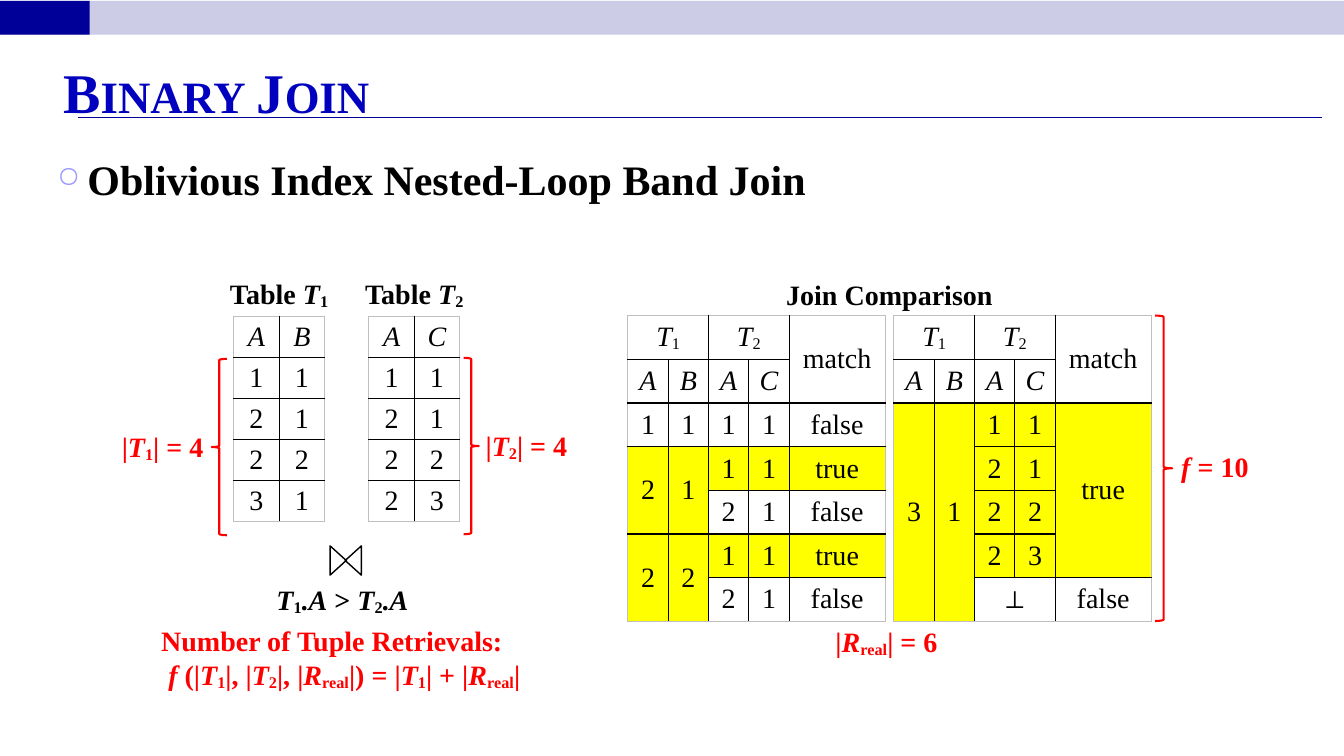
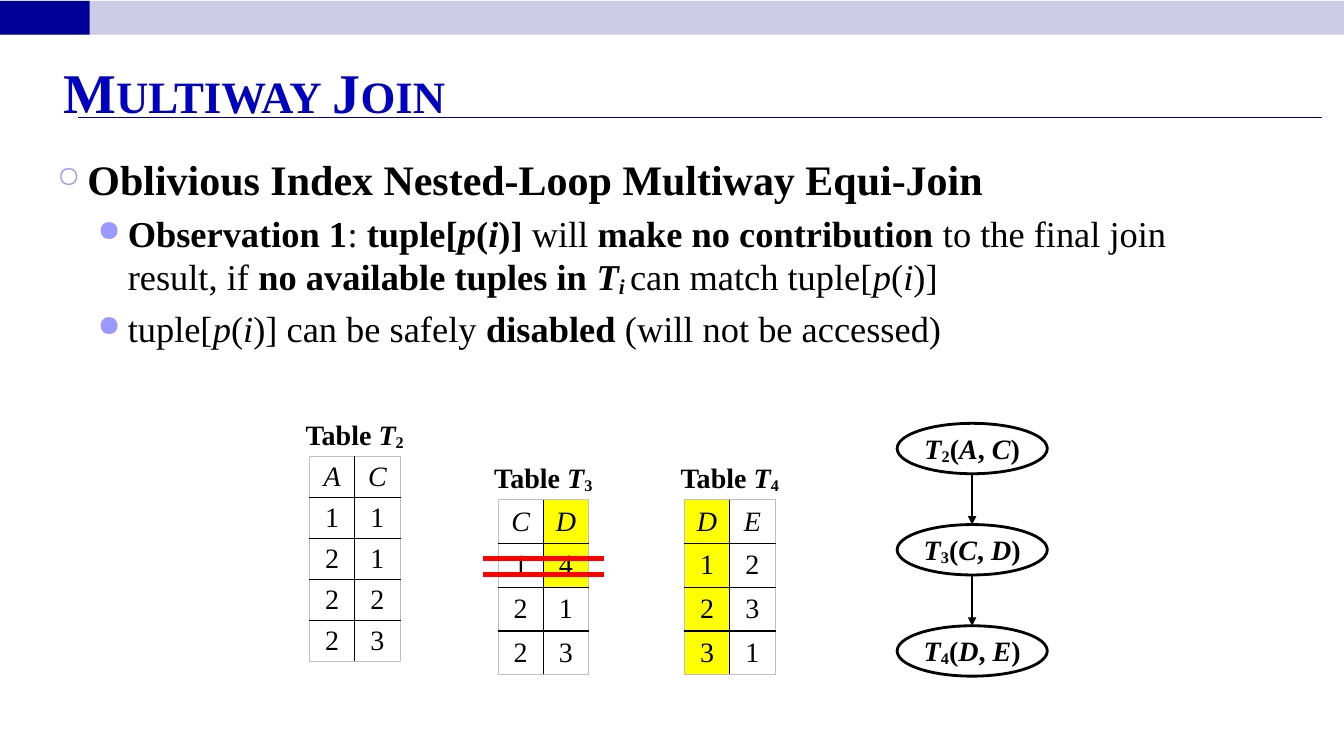
from lxml import etree
from pptx import Presentation
from pptx.dml.color import RGBColor
from pptx.enum.shapes import MSO_CONNECTOR, MSO_SHAPE
from pptx.enum.text import MSO_ANCHOR, PP_ALIGN
from pptx.oxml import parse_xml
from pptx.oxml.ns import nsdecls, qn
from pptx.util import Pt

STRAIGHT = MSO_CONNECTOR.STRAIGHT
RECTANGLE, ELLIPSE = MSO_SHAPE.RECTANGLE, MSO_SHAPE.OVAL
TRIANGLE = MSO_SHAPE.ISOSCELES_TRIANGLE
LEFT_BRACE, RIGHT_BRACE = MSO_SHAPE.LEFT_BRACE, MSO_SHAPE.RIGHT_BRACE
LEFT, CENTER, MIDDLE = PP_ALIGN.LEFT, PP_ALIGN.CENTER, MSO_ANCHOR.MIDDLE

rgb = RGBColor.from_string
FONT = "Times New Roman"
BLACK, RED, YELLOW, GREY = "000000", "FF0000", "FFFF00", "BFBFBF"
NAVY, LAVENDER, TITLE_BLUE, BULLET_BLUE = "000099", "CCCCE6", "0000BE", "9999FF"
LABEL_HEIGHT = 31.7
SMALL_ROW, TALL_ROW = 29.3, 31.2
PAIR = [32.4] * 2
JOIN_COLUMNS = [28.8] * 4 + [68.6]
JOIN_HEADER = ["*T*_1_ - *T*_2_ - match", "*A* *B* *A* *C* -"]
JOIN_HEADER_SPANS = [(0, 0, 0, 1), (0, 2, 0, 3), (0, 4, 1, 4)]
T2_ROWS = ["*A* *C*", "1 1", "2 1", "2 2", "2 3"]


# markup-free helper names: ^ toggles bold, * italic, _ subscript
def write(paragraph, markup, size=20, color=BLACK, bold=True):
    for b, bold_part in enumerate(markup.split("^")):
        for i, italic_part in enumerate(bold_part.split("*")):
            for s, text in enumerate(italic_part.split("_")):
                if not text:
                    continue
                run = paragraph.add_run()
                run.text = text
                font = run.font
                font.name, font.size = FONT, Pt(size)
                font.bold = bold != bool(b % 2)
                font.italic = bool(i % 2)
                font.color.rgb = rgb(color)
                if s % 2:
                    font._element.set("baseline", "-10000")


def add_line(slide, x1, y1, x2, y2, color, width):
    line = slide.shapes.add_connector(STRAIGHT, Pt(x1), Pt(y1), Pt(x2), Pt(y2))
    line.line.color.rgb = rgb(color)
    line.line.width = Pt(width)
    etree.SubElement(line._element.spPr, qn("a:effectLst"))
    return line


contents = [
    {
        "title": "Binary Join",
        "bullets": [(0, "Oblivious Index Nested-Loop Band Join")],
        "tables": [
            ("*T*_1_", 167, 226, PAIR, SMALL_ROW, ["*A* *B*", "1 1", "2 1", "2 2", "3 1"], []),
            ("*T*_2_", 263.5, 226, PAIR, SMALL_ROW, T2_ROWS, []),
            (None, 448.5, 225.5, JOIN_COLUMNS, TALL_ROW,
             JOIN_HEADER + ["1 1 1 1 false", "!2 !1 !1 !1 !true", "- - 2 1 false",
                            "!2 !2 !1 !1 !true", "- - 2 1 false"],
             JOIN_HEADER_SPANS + [(r, c, r + 1, c) for r in (3, 5) for c in (0, 1)]),
            (None, 638.5, 225.5, JOIN_COLUMNS, TALL_ROW,
             JOIN_HEADER + ["!3 !1 !1 !1 !true", "- - !2 !1 -", "- - !2 !2 -",
                            "- - !2 !3 -", "- - ⊥ - false"],
             JOIN_HEADER_SPANS + [(2, 0, 6, 0), (2, 1, 6, 1), (2, 4, 5, 4), (6, 2, 6, 3)]),
        ],
        "notes": [
            (448.5, 194.4, 373.7, BLACK, [(CENTER, "Join Comparison")]),
            (164, 412.6, 161.3, BLACK, [(CENTER, "*T*_1_*.A* > *T*_2_*.A*")]),
            (108, 442.1, 275.8, RED, [
                (LEFT, "Number of Tuple Retrievals:"),
                (CENTER, "*f *(|*T*_1_|, |*T*_2_|, |*R*_real_|) = |*T*_1_| + |*R*_real_|")]),
            (79.9, 303.1, 76.3, RED, [(LEFT, "|*T*_1_| = 4")]),
            (339.8, 302.4, 76.3, RED, [(LEFT, "|*T*_2_| = 4")]),
            (836.6, 317.5, 66.2, RED, [(LEFT, "*f = *10")]),
            (588.2, 442.8, 90, RED, [(CENTER, "|*R*_real_| = 6")]),
        ],
        "outlines": [
            (TRIANGLE, 231.1, 394.6, 20.9, 11.5, 90, BLACK, 1, ""),
            (TRIANGLE, 241.9, 394.6, 20.9, 11.5, 270, BLACK, 1, ""),
            (LEFT_BRACE, 151.2, 256.3, 10.8, 126, 0, RED, 1.5, ""),
            (RIGHT_BRACE, 331.2, 255.6, 10.8, 126, 0, RED, 1.5, ""),
            (RIGHT_BRACE, 825.1, 225.4, 12.2, 218.2, 0, RED, 1.5, ""),
        ],
        "strikes": [],
        "arrows": [],
    },
    {
        "title": "Multiway Join",
        "bullets": [
            (0, "Oblivious Index Nested-Loop Multiway Equi-Join"),
            (1, "^Observation 1^: ^tuple[*p*(*i*)] ^will ^make no contribution ^"
                "to the final join result, if ^no available tuples in *T_i _*^"
                "can match tuple[*p*(*i*)]"),
            (1, "tuple[*p*(*i*)] can be safely ^disabled^ (will not be accessed)"),
        ],
        "tables": [
            ("*T*_2_", 221, 326.2, PAIR, SMALL_ROW, T2_ROWS, []),
            ("*T*_3_", 355.7, 357.1, PAIR, TALL_ROW, ["*C* !*D*", "1 !4", "2 1", "2 3"], []),
            ("*T*_4_", 488.9, 357.1, PAIR, TALL_ROW, ["!*D* *E*", "!1 2", "!2 3", "!3 1"], []),
        ],
        "notes": [],
        "outlines": [
            (ELLIPSE, 640.8, 302.4 + 72.3 * n, 107.3, 36, 0, BLACK, 2, relation)
            for n, relation in enumerate(
                ["*T*_2_(*A*, *C*)", "*T*_3_(*C*, *D*)", "*T*_4_(*D*, *E*)"])
        ],
        "strikes": [398.9, 410.4],
        "arrows": [338.4, 410.7],
    },
]

deck = Presentation()
deck.slide_width, deck.slide_height = Pt(960), Pt(540)

for content in contents:
    slide = deck.slides.add_slide(deck.slide_layouts[6])
    shapes = slide.shapes

    for width, color in [(960, LAVENDER), (64, NAVY)]:
        band = shapes.add_shape(RECTANGLE, 0, Pt(0.7), Pt(width), Pt(24))
        band.shadow.inherit = False
        band.fill.solid()
        band.fill.fore_color.rgb = rgb(color)
        band.line.fill.background()
    add_line(slide, 56, 84.2, 944, 84.2, NAVY, 0.75)

    title = shapes.add_textbox(Pt(38.2), Pt(37.4), Pt(882), Pt(53.3)).text_frame
    title.word_wrap = True
    write(title.paragraphs[0], content["title"], 40, TITLE_BLUE)
    title.paragraphs[0].runs[0].font._element.set("cap", "small")

    body = shapes.add_textbox(Pt(33.8), Pt(105.8), Pt(862), Pt(394.6)).text_frame
    body.word_wrap = True
    for n, (level, markup) in enumerate(content["bullets"]):
        paragraph = body.add_paragraph() if n else body.paragraphs[0]
        paragraph.level = level
        paragraph.space_before = Pt((6, 5.2)[level])
        properties = paragraph._p.get_or_add_pPr()
        properties.set("marL", str(Pt((21.6, 50.4)[level])))
        properties.set("indent", str(Pt(-21.6)))
        color = etree.SubElement(properties, qn("a:buClr"))
        etree.SubElement(color, qn("a:srgbClr"), val=BULLET_BLUE)
        etree.SubElement(properties, qn("a:buSzPct"), val=("70000", "80000")[level])
        etree.SubElement(properties, qn("a:buChar"), char="○●"[level])
        write(paragraph, markup, (30, 26)[level], bold=level == 0)

    notes = list(content["notes"])
    for name, left, top, columns, row_height, rows, spans in content["tables"]:
        if name:
            notes.append((left - 10.8, top - LABEL_HEIGHT, 86.4, BLACK,
                          [(CENTER, "Table " + name)]))
        table = shapes.add_table(len(rows), len(columns), Pt(left), Pt(top),
                                 Pt(sum(columns)), Pt(row_height * len(rows))).table
        table.first_row = table.horz_banding = False
        for column, width in zip(table.columns, columns):
            column.width = Pt(width)
        for r1, c1, r2, c2 in spans:
            table.cell(r1, c1).merge(table.cell(r2, c2))
        for r, row in enumerate(rows):
            table.rows[r].height = Pt(row_height)
            for c, value in enumerate(row.split()):
                cell = table.cell(r, c)
                cell.margin_left = cell.margin_right = 0
                cell.margin_top = cell.margin_bottom = 0
                if cell.is_spanned:
                    continue
                cell.vertical_anchor = MIDDLE
                edges = {"L": c == 0, "R": c + cell.span_width == len(columns),
                         "T": r == 0, "B": r + cell.span_height == len(rows)}
                for side, outer in edges.items():
                    cell._tc.get_or_add_tcPr().append(parse_xml(
                        f'<a:ln{side} {nsdecls("a")} w="{Pt(0.75 if outer else 1)}"><a:solidFill>'
                        f'<a:srgbClr val="{GREY if outer else BLACK}"/></a:solidFill></a:ln{side}>'))
                if value.startswith("!"):
                    cell.fill.solid()
                    cell.fill.fore_color.rgb = rgb(YELLOW)
                else:
                    cell.fill.background()
                paragraph = cell.text_frame.paragraphs[0]
                paragraph.alignment = CENTER
                write(paragraph, value.lstrip("!"), bold=False)

    for left, top, width, color, lines in notes:
        note = shapes.add_textbox(Pt(left), Pt(top), Pt(width), Pt(LABEL_HEIGHT)).text_frame
        note.word_wrap = True
        for n, (alignment, markup) in enumerate(lines):
            paragraph = note.add_paragraph() if n else note.paragraphs[0]
            paragraph.alignment = alignment
            write(paragraph, markup, color=color)

    for kind, left, top, width, height, turn, color, weight, relation in content["outlines"]:
        outline = shapes.add_shape(kind, Pt(left), Pt(top), Pt(width), Pt(height))
        outline.shadow.inherit = False
        outline.rotation = turn
        outline.fill.background()
        outline.line.color.rgb = rgb(color)
        outline.line.width = Pt(weight)
        if relation:
            frame = outline.text_frame
            frame.margin_left = frame.margin_right = frame.margin_top = frame.margin_bottom = 0
            frame.word_wrap = False
            frame.vertical_anchor = MIDDLE
            frame.paragraphs[0].alignment = CENTER
            write(frame.paragraphs[0], relation)

    for y in content["strikes"]:
        add_line(slide, 344.9, y, 431.3, y, RED, 3)
    for y in content["arrows"]:
        arrow = add_line(slide, 694.4, y, 694.4, y + 36.3, BLACK, 1)
        etree.SubElement(arrow.line._get_or_add_ln(), qn("a:tailEnd"), type="triangle")

deck.save("out.pptx")
